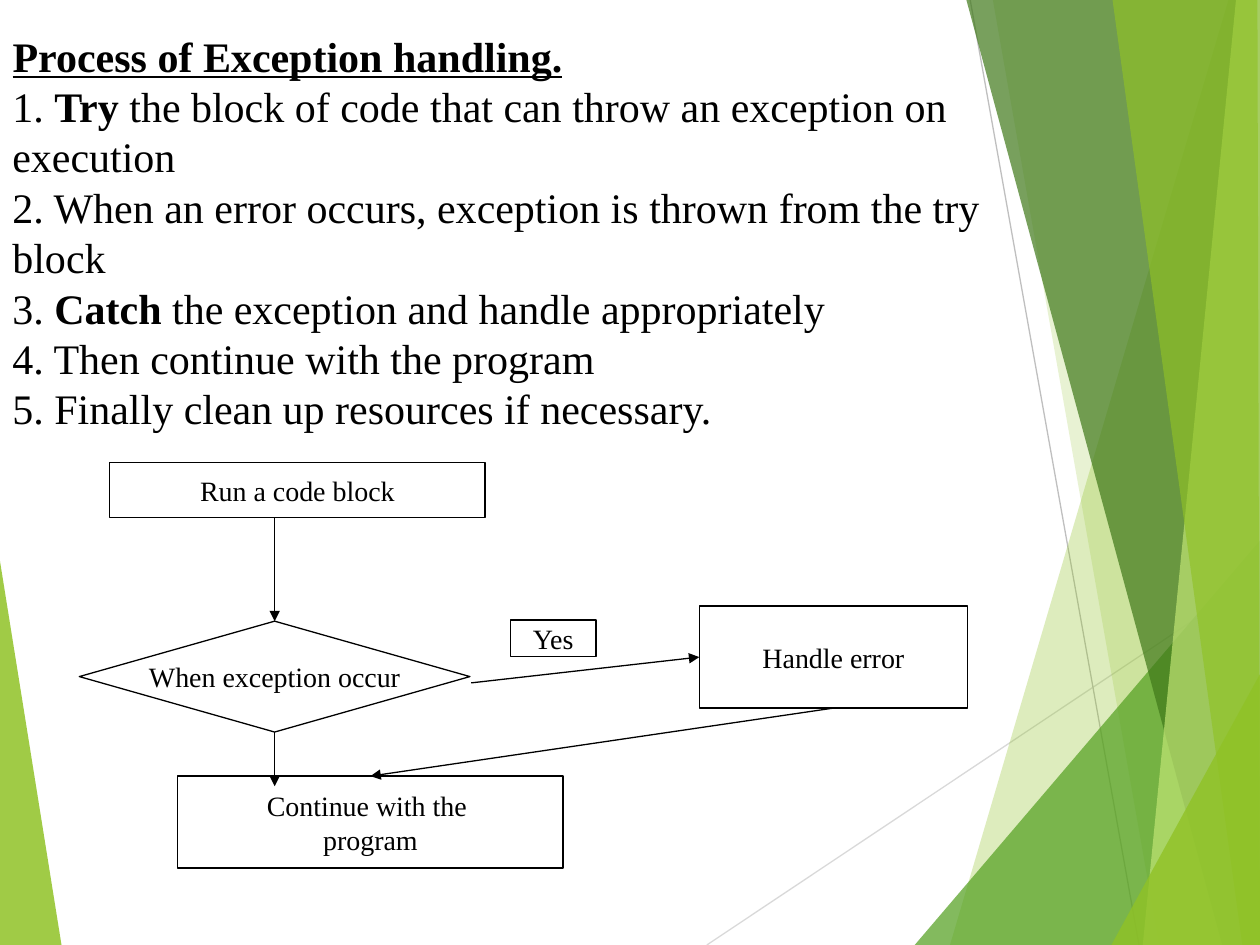
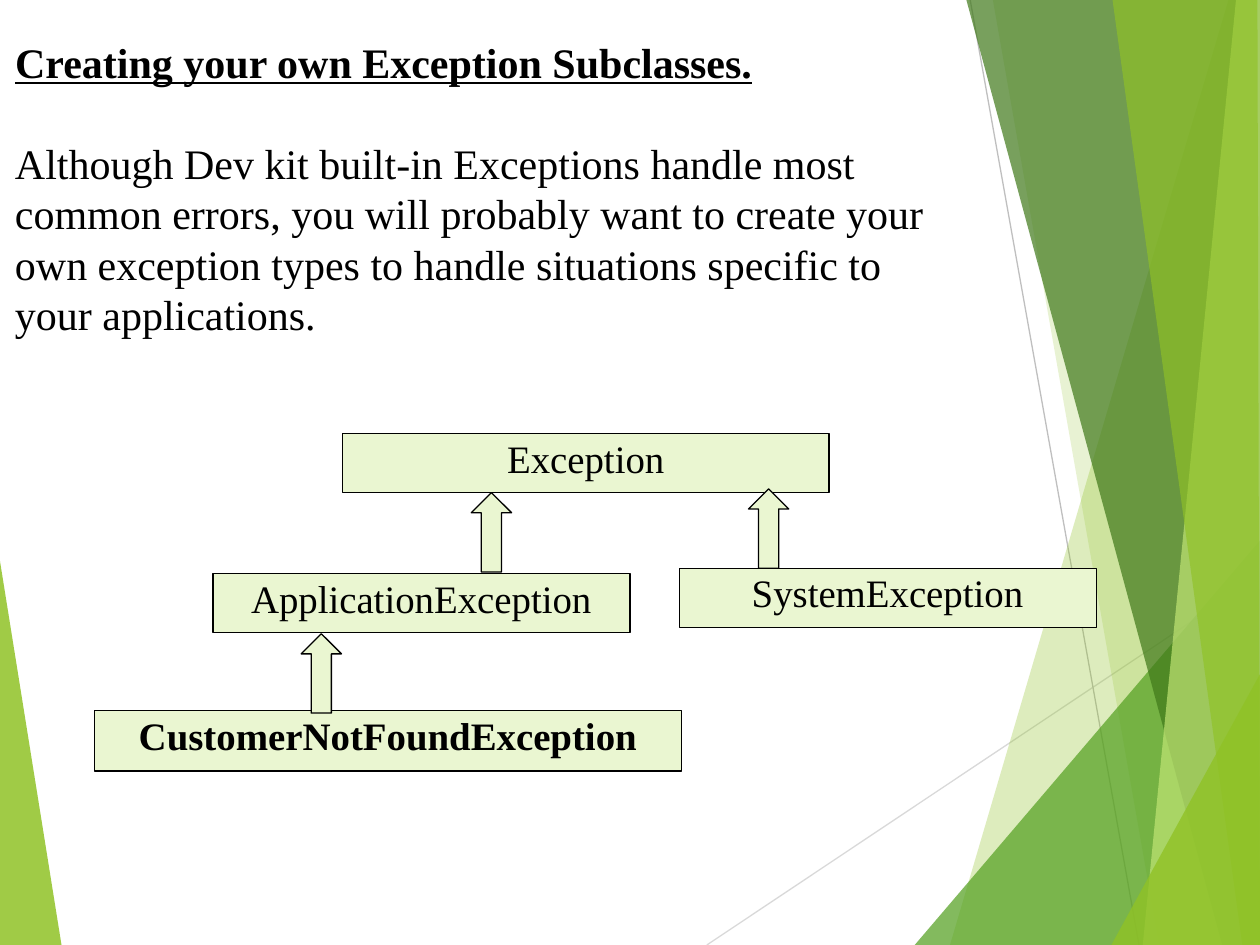
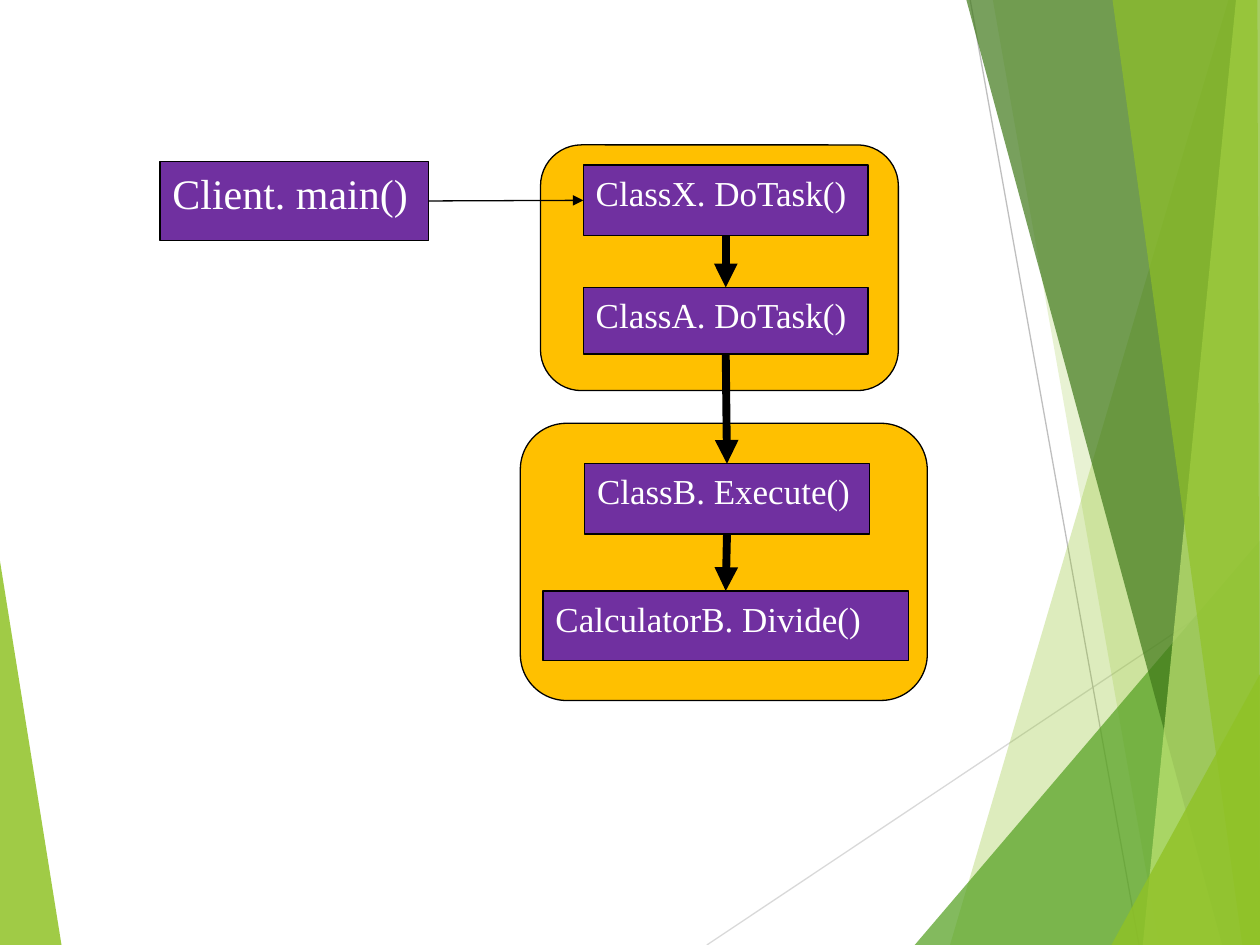
from dataclasses import dataclass
from lxml.etree import SubElement
from pptx import Presentation
from pptx.dml.color import RGBColor
from pptx.enum.shapes import MSO_CONNECTOR, MSO_SHAPE
from pptx.enum.text import MSO_ANCHOR, MSO_AUTO_SIZE, PP_ALIGN
from pptx.oxml.ns import qn
from pptx.util import Inches, Pt


@dataclass(frozen=True)
class Theme:
    font: str = "Times New Roman"
    black: str = "000000"
    white: str = "FFFFFF"
    lime: str = "90C226"
    green: str = "54A021"
    dark: str = "3F7819"
    light: str = "C0E474"
    pale: str = "EAF6D1"
    amber: str = "FFC000"
    purple: str = "7030A0"
    silver: str = "D9D9D9"
    gray: str = "BFBFBF"
    text: float = 24
    tree: float = 22.2
    call: float = 20
    flow: float = 16
    thin: float = 0.75
    thick: float = 4.5


theme = Theme()
rgb = RGBColor.from_string


def box(slide, kind, at, fill, text="", size=theme.flow, ink=theme.black,
        align=PP_ALIGN.CENTER, anchor=MSO_ANCHOR.TOP, wrap=True):
    shape = slide.shapes.add_shape(kind, *map(Inches, at))
    shape.shadow.inherit = False
    shape.fill.solid()
    shape.fill.fore_color.rgb = rgb(fill)
    shape.line.color.rgb = rgb(theme.black)
    shape.line.width = Pt(theme.thin)
    if text:
        frame = shape.text_frame
        frame.text = text
        frame.word_wrap = wrap
        frame.vertical_anchor = anchor
        for para in frame.paragraphs:
            para.alignment = align
            para.font.name = theme.font
            para.font.size = Pt(size)
            para.font.color.rgb = rgb(ink)
    return shape


def link(slide, start, end, color=theme.black, width=theme.thin, head=True):
    """Draw a line; each end is a point (x, y) or a join (shape, site)."""
    line = slide.shapes.add_connector(MSO_CONNECTOR.STRAIGHT, 0, 0, 0, 0)
    if isinstance(start[0], (int, float)):
        line.begin_x, line.begin_y = map(Inches, start)
    else:
        line.begin_connect(*start)
    if isinstance(end[0], (int, float)):
        line.end_x, line.end_y = map(Inches, end)
    else:
        line.end_connect(*end)
    line.line.color.rgb = rgb(color)
    line.line.width = Pt(width)
    props = line.element.spPr
    if head:
        SubElement(props.find(qn("a:ln")), qn("a:tailEnd"), type="triangle")
    SubElement(props, qn("a:effectLst"))


deck = Presentation()
deck.slide_width, deck.slide_height = Inches(10), Inches(7.5)
titled, blank = deck.slide_layouts[5], deck.slide_layouts[6]

# Slides with a heading and body text
pages = [
    (0, 0.19, 8.23, 0.4, "Process of Exception handling.", [
        "1. *Try* the block of code that can throw an exception on execution",
        "2. When an error occurs, exception is thrown from the try block",
        "3. *Catch* the exception and handle appropriately",
        "4. Then continue with the program",
        "5. Finally clean up resources if necessary."]),
    (0.02, 0.24, 7.65, 0.8, "Creating your own Exception Subclasses.", [
        "Although Dev kit built-in Exceptions handle most common errors, "
        "you will probably want to create your own exception types to "
        "handle situations specific to your applications."]),
]
slides = []
for left, top, width, drop, head, lines in pages:
    slide = deck.slides.add_slide(titled)
    slides.append(slide)
    title = slide.shapes.title
    title.left, title.top, title.width, title.height = map(
        Inches, (left, top, width, 0.5))
    title.text = head
    frame = title.text_frame
    frame.auto_size = MSO_AUTO_SIZE.NONE
    frame.vertical_anchor = MSO_ANCHOR.TOP
    para = frame.paragraphs[0]
    para.alignment = PP_ALIGN.LEFT
    para.font.name = theme.font
    para.font.size = Pt(theme.text)
    para.font.color.rgb = rgb(theme.black)
    para.font.bold = para.font.underline = True

    body = slide.shapes.add_textbox(
        *map(Inches, (left, top + drop, width, 2.9 if drop < 0.5 else 1.7)))
    frame = body.text_frame
    frame.word_wrap = True
    for i, line in enumerate(lines):
        para = frame.add_paragraph() if i else frame.paragraphs[0]
        para.font.name = theme.font
        para.font.size = Pt(theme.text)
        para.font.color.rgb = rgb(theme.black)
        for j, part in enumerate(line.split("*")):
            run = para.add_run()
            run.text = part
            if j % 2:
                run.font.bold = True
flow, tree = slides
calls = deck.slides.add_slide(blank)

# Shared facets: drawn once, then moved to the master
facets = [
    (theme.lime, 85, [(-0.01, 4.39), (0.49, 7.51), (-0.01, 7.5)]),
    (theme.lime, 30, [(9.75, 0), (7.54, 7.5), (10, 7.5), (10, 0)]),
    (theme.lime, 20, [(7.88, 0), (9.2, 7.5), (10, 7.5), (10, 0)]),
    (theme.green, 72, [(7.26, 7.5), (10, 4.29), (10, 7.5)]),
    (theme.dark, 70, [(7.67, 0), (9.7, 7.5), (10, 7.5), (10, 0)]),
    (theme.light, 70, [(9.81, 0), (9.07, 7.5), (10, 7.5), (10, 0)]),
    (theme.lime, 65, [(8.83, 0), (9.86, 7.5), (10, 7.5), (9.98, 0)]),
    (theme.lime, 80, [(8.82, 7.5), (10, 5.35), (10, 7.5)]),
]
for i, (color, alpha, points) in enumerate(facets):
    first, *rest = [(Inches(x), Inches(y)) for x, y in points]
    pen = calls.shapes.build_freeform(*first)
    pen.add_line_segments(rest, close=True)
    facet = pen.convert_to_shape()
    facet.shadow.inherit = False
    facet.line.fill.background()
    facet.fill.solid()
    facet.fill.fore_color.rgb = rgb(color)
    tint = next(facet.element.spPr.iter(qn("a:srgbClr")))
    SubElement(tint, qn("a:alpha"), val=str(alpha * 1000))
    if i == 0:
        link(calls, (5.61, 7.5), (10, 4.57), theme.silver, head=False)
        link(calls, (7.7, 0), (9.04, 7.5), theme.gray, head=False)
master = deck.slide_master.shapes.element
for i, part in enumerate(list(calls.shapes)):
    next(part.element.iter(qn("p:cNvPr"))).set("id", str(100 + i))
    master.insert(2 + i, part.element)

# Flow of exception handling
steps = [
    (MSO_SHAPE.RECTANGLE, (0.87, 3.67, 2.98, 0.44), "Run a code block"),
    (MSO_SHAPE.RECTANGLE, (5.55, 4.81, 2.13, 0.81), "Handle error"),
    (MSO_SHAPE.RECTANGLE, (1.41, 6.16, 3.06, 0.73),
     "Continue with the \nprogram"),
    (MSO_SHAPE.DIAMOND, (0.63, 4.93, 3.1, 0.88), "When exception occur"),
    (MSO_SHAPE.RECTANGLE, (4.05, 4.92, 0.68, 0.29), "Yes"),
]
start, handle, resume, check, yes = [
    box(flow, kind, at, theme.white, text, anchor=MSO_ANCHOR.MIDDLE, wrap=False)
    for kind, at, text in steps]
link(flow, (2.18, 4.11), (check, 0))
link(flow, (check, 2), (2.18, 6.24))
link(flow, (3.74, 5.42), (handle, 1))
link(flow, (handle, 2), (resume, 0))

# Exception class tree
types = [
    ((2.72, 3.44, 3.86, 0.47), "Exception"),
    ((1.69, 4.55, 3.31, 0.47), "ApplicationException"),
    ((5.39, 4.51, 3.31, 0.47), "SystemException"),
    ((0.75, 5.64, 4.66, 0.48), "CustomerNotFoundException"),
]
for at, name in types:
    node = box(tree, MSO_SHAPE.RECTANGLE, at, theme.pale, name, theme.tree)
    para = node.text_frame.paragraphs[0]
    para.line_spacing = 0.9
    para.font.bold = name.startswith("Customer")
for left, top in [(3.74, 3.91), (5.94, 3.88), (2.39, 5.03)]:
    box(tree, MSO_SHAPE.UP_ARROW, (left, top, 0.32, 0.63), theme.pale)

# Call chain
for at in [(4.13, 3.36, 3.23, 2.2), (4.29, 1.15, 2.84, 1.95)]:
    box(calls, MSO_SHAPE.ROUNDED_RECTANGLE, at, theme.amber)
chain = [
    ((1.27, 1.28, 2.13, 0.63), "Client. main()", theme.text),
    ((4.63, 1.31, 2.26, 0.56), "ClassX. DoTask()", theme.call),
    ((4.63, 2.28, 2.26, 0.53), "ClassA. DoTask()", theme.call),
    ((4.64, 3.68, 2.26, 0.56), "ClassB. Execute()", theme.call),
    ((4.31, 4.69, 2.9, 0.55), "CalculatorB. Divide()", theme.call),
]
client, *tasks = [
    box(calls, MSO_SHAPE.RECTANGLE, at, theme.purple, text, size, theme.white,
        PP_ALIGN.LEFT)
    for at, text, size in chain]
link(calls, (client, 3), (tasks[0], 1))
for upper, lower in zip(tasks, tasks[1:]):
    link(calls, (upper, 2), (lower, 0), width=theme.thick)

deck.save("out.pptx")
